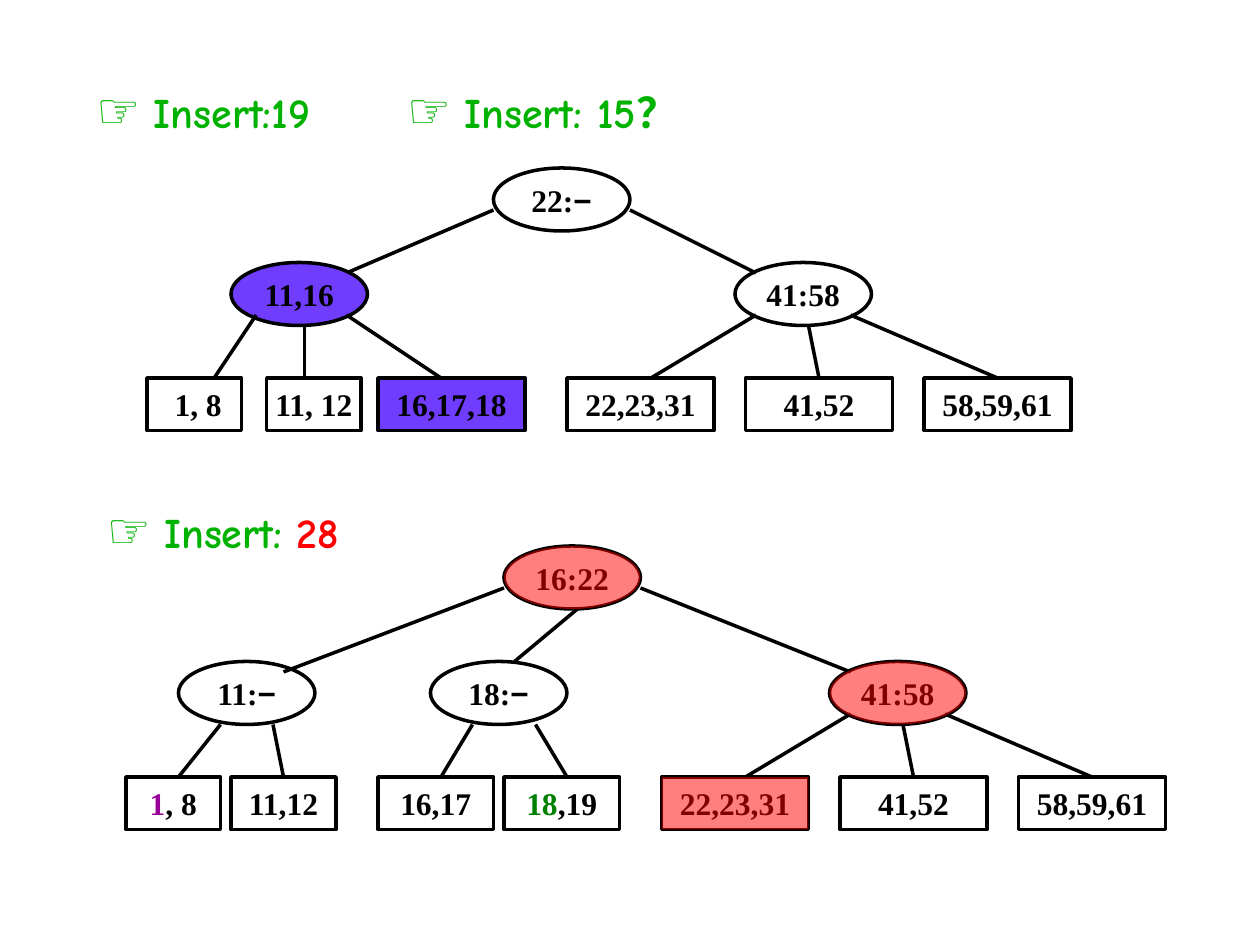
from lxml import etree
from pptx import Presentation
from pptx.dml.color import RGBColor
from pptx.enum.shapes import MSO_CONNECTOR, MSO_SHAPE
from pptx.enum.text import MSO_ANCHOR, MSO_AUTO_SIZE, PP_ALIGN
from pptx.oxml.ns import qn
from pptx.util import Cm, Pt

RECT, OVAL = MSO_SHAPE.RECTANGLE, MSO_SHAPE.OVAL
LINE = MSO_CONNECTOR.STRAIGHT
MIDDLE, CENTER = MSO_ANCHOR.MIDDLE, PP_ALIGN.CENTER
GROW = MSO_AUTO_SIZE.SHAPE_TO_FIT_TEXT

BLACK = RGBColor(0x00, 0x00, 0x00)
WHITE = RGBColor(0xFF, 0xFF, 0xFF)
BLUE = RGBColor(0x70, 0x3D, 0xFF)
LIME = RGBColor(0x00, 0xB2, 0x00)
GREEN = RGBColor(0x00, 0x80, 0x00)
PURPLE = RGBColor(0x99, 0x00, 0x99)
RED = RGBColor(0xFF, 0x00, 0x00)

LABEL = {"name": "Times New Roman", "size": Pt(18), "bold": True}
MINUS = {**LABEL, "name": "Arial"}
HAND = {"name": "Arial", "size": Pt(28), "bold": True}
TITLE = {"name": "Comic Neue", "size": Pt(24), "bold": True}
FRAME = {"word_wrap": False, "vertical_anchor": MIDDLE}
GROWING = {"word_wrap": True, "auto_size": GROW}

GRID = 2.54 / 12
NODE_W, NODE_H, LEAF_H = 13, 6, 5
DASH = ("−", BLACK, MINUS)

TITLES = [
    (8, 7, 31, [("Insert:19", LIME, TITLE)]),
    (37.6, 7, 35, [("Insert: 15？", LIME, TITLE)]),
    (9, 47, 35, [("Insert: ", LIME, TITLE), ("28", RED, TITLE)]),
]


def black(text):
    return (text, BLACK, LABEL)


FIRST = {
    "top": 36,
    "nodes": [
        (47, 16, [black("22:"), DASH], None),
        (22, 25, [black("11,16")], BLUE),
        (70, 25, [black("41:58")], None),
    ],
    "edges": [(47, 20, 33, 26), (60, 20, 72, 26)],
    "leaves": [
        (14, 9, [black(" 1, 8")], None, (24.4, 30, 20.4)),
        (25.4, 9, [black("11, 12")], None, (29, 31, 29)),
        (36, 14, [black("16,17,18")], BLUE, (33, 30, 42)),
        (54, 14, [black("22,23,31")], None, (72, 30, 62)),
        (71, 14, [black("41,52")], None, (77, 31, 78)),
        (88, 14, [black("58,59,61")], None, (81, 30, 95)),
    ],
}

SECOND = {
    "top": 74,
    "nodes": [
        (48, 52, [black("16:22")], None),
        (17, 63, [black("11:"), DASH], None),
        (41, 63, [black("18:"), DASH], None),
        (79, 63, [black("41:58")], None),
    ],
    "edges": [(48, 56, 27, 64), (55, 58, 49, 63), (61, 56, 81, 64)],
    "leaves": [
        (12, 9, [("1", PURPLE, LABEL), black(", 8")], None, (21, 69, 17)),
        (22, 10, [black("11,12")], None, (26, 69, 27)),
        (36, 11, [black("16,17")], WHITE, (45, 69, 42)),
        (48, 11, [("18", GREEN, LABEL), black(",19")], WHITE, (51, 69, 54)),
        (63, 14, [black("22,23,31")], None, (81, 68, 71)),
        (80, 14, [black("41,52")], None, (86, 69, 87)),
        (97, 14, [black("58,59,61")], None, (90, 68, 104)),
    ],
}

MARKS = [
    (RECT, (63, 74, 14, LEAF_H)),
    (OVAL, (79, 63, NODE_W, NODE_H)),
    (OVAL, (48, 52, NODE_W, NODE_H)),
]


def scale(box):
    return [Cm(n * GRID) for n in box]


def apply(item, values):
    for key, value in values.items():
        setattr(item, key, value)


def write(frame, runs):
    para = frame.paragraphs[0]
    for text, color, style in runs:
        run = para.add_run()
        run.text = text
        apply(run.font, style)
        run.font.color.rgb = color
    return para


def add_form(slide, kind, box, fill):
    form = slide.shapes.add_shape(kind, *scale(box))
    form.shadow.inherit = False
    if fill is None:
        form.fill.background()
    else:
        form.fill.solid()
        form.fill.fore_color.rgb = fill
    return form


def add_node(slide, kind, box, runs, fill):
    node = add_form(slide, kind, box, fill)
    node.line.color.rgb = BLACK
    node.line.width = Pt(2)
    apply(node.text_frame, FRAME)
    write(node.text_frame, runs).alignment = CENTER
    return node


def add_edge(slide, ends):
    edge = slide.shapes.add_connector(LINE, *scale(ends))
    edge.line.color.rgb = BLACK
    edge.line.width = Pt(2)
    etree.SubElement(edge._element.spPr, qn("a:effectLst"))
    return edge


def add_leaf(slide, top, left, width, runs, fill, link):
    leaf = add_node(slide, RECT, (left, top, width, LEAF_H), runs, fill)
    edge = add_edge(slide, (*link, top))
    if link[2] == left + width / 2:
        edge.end_connect(leaf, 0)


def add_tree(slide, tree):
    for ends in tree["edges"]:
        add_edge(slide, ends)
    for left, top, runs, fill in tree["nodes"]:
        add_node(slide, OVAL, (left, top, NODE_W, NODE_H), runs, fill)
    for leaf in tree["leaves"]:
        add_leaf(slide, tree["top"], *leaf)


def add_title(slide, left, top, width, runs):
    box = slide.shapes.add_textbox(*scale((left, top, width, 6.8)))
    apply(box.text_frame, GROWING)
    write(box.text_frame, [("☞ ", LIME, HAND), *runs])


def add_mark(slide, kind, box):
    mark = add_form(slide, kind, box, RED)
    mark.line.fill.background()
    tint = mark._element.spPr.find(qn("a:solidFill"))[0]
    etree.SubElement(tint, qn("a:alpha"), val="50000")


def main():
    deck = Presentation()
    deck.slide_width, deck.slide_height = Cm(25.4), Cm(19.05)
    slide = deck.slides.add_slide(deck.slide_layouts[6])
    for tree in (FIRST, SECOND):
        add_tree(slide, tree)
    for title in TITLES:
        add_title(slide, *title)
    for mark in MARKS:
        add_mark(slide, *mark)
    deck.save("out.pptx")


if __name__ == "__main__":
    main()
